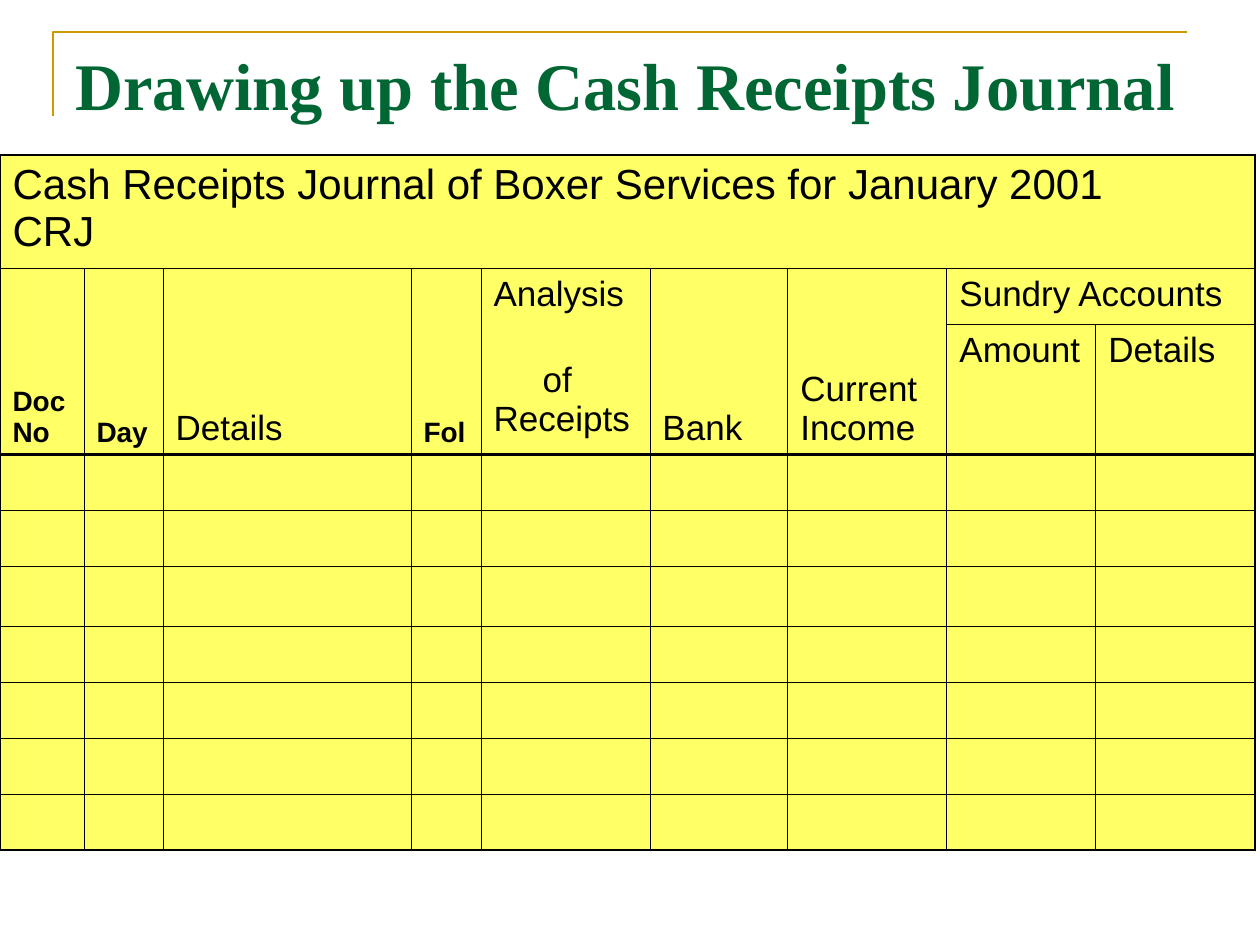
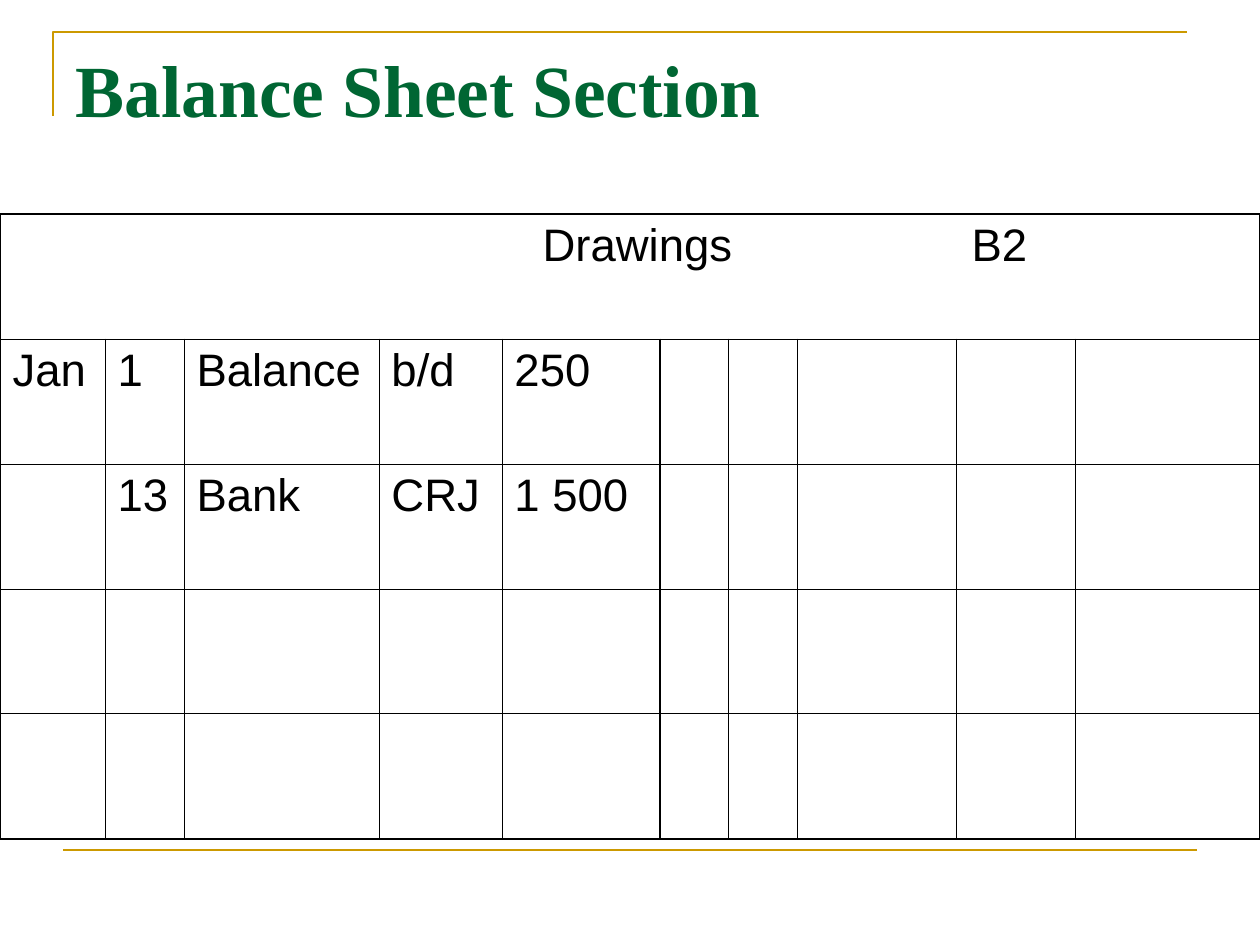
"""Build two bookkeeping slides: a cash receipts journal and a drawings account."""
import pptx
import pptx.util
import pptx.dml.color
import pptx.enum.shapes
import pptx.enum.text
from lxml import etree

GOLD = pptx.dml.color.RGBColor(0xCC, 0x99, 0x00)
GREEN = pptx.dml.color.RGBColor(0x00, 0x66, 0x33)
BLACK = pptx.dml.color.RGBColor(0x00, 0x00, 0x00)
YELLOW = pptx.dml.color.RGBColor(0xFF, 0xFF, 0x66)
WHITE = pptx.dml.color.RGBColor(0xFF, 0xFF, 0xFF)
A = "{http://schemas.openxmlformats.org/drawingml/2006/main}"
NO_STYLE = "{2D5ABB26-0587-4C30-8999-92F81FD0307C}"
TOP = pptx.enum.text.MSO_ANCHOR.TOP
BOTTOM = pptx.enum.text.MSO_ANCHOR.BOTTOM
THIN, OUTER, HEAVY = 0.45, 1.08, 1.47


def px(n):
    return pptx.util.Emu(round(n * 914400 / 126))


def write(p, text, **values):
    p.text = text
    for r in p.runs:
        r.font.color.rgb = values.get("color", BLACK)
        for name in ("name", "size", "bold"):
            setattr(r.font, name, values[name])


small = {"name": "Arial", "size": pptx.util.Pt(16), "bold": True}
medium = {"name": "Arial", "size": pptx.util.Pt(20), "bold": False}
large = {"name": "Arial", "size": pptx.util.Pt(24), "bold": False}
ledger = {"name": "Arial", "size": pptx.util.Pt(26), "bold": False}

slides = [
    {
        "title": "Drawing up the Cash Receipts Journal", "size": 38,
        "top": 155, "fill": YELLOW,
        "cols": [84, 79, 248, 70, 169, 138, 159, 149, 159],
        "rows": [106, 56, 121, 56, 56, 60, 56, 56, 56, 56],
        "merges": [(0, 0, 0, 8), (1, 7, 1, 8)] + [(1, c, 2, c) for c in range(7)],
        "heavy_row": 3, "heavy_col": None,
        "cells": [
            (0, 0, "Cash Receipts Journal of Boxer Services for January 2001\vCRJ", large, TOP),
            (1, 0, "Doc No", small, BOTTOM),
            (1, 1, "Day", small, BOTTOM),
            (1, 2, "Details", medium, BOTTOM),
            (1, 3, "Fol", small, BOTTOM),
            (1, 4, "Analysis\nof Receipts", medium, TOP),
            (1, 5, "Bank", medium, BOTTOM),
            (1, 6, "Current Income", medium, BOTTOM),
            (1, 7, "Sundry Accounts", medium, TOP),
            (2, 7, "Amount", medium, TOP),
            (2, 8, "Details", medium, TOP),
        ],
    },
    {
        "title": "Balance Sheet Section", "size": 42,
        "top": 214, "fill": WHITE,
        "cols": [105, 79, 195, 123, 158, 69, 69, 159, 119, 184],
        "rows": [125] * 5,
        "merges": [(0, 0, 0, 9)],
        "heavy_row": None, "heavy_col": 5,
        "cells": [(0, 0, "\tDrawings\tB2", ledger, TOP)] + [
            (row, col, text, ledger, TOP)
            for row, entry in enumerate(
                [["Jan", "1", "Balance", "b/d", "250"],
                 ["", "13", "Bank", "CRJ", "1 500"]], 1)
            for col, text in enumerate(entry) if text
        ],
    },
]

prs = pptx.Presentation()
prs.slide_width, prs.slide_height = px(1260), px(945)

for page in slides:
    s = prs.slides.add_slide(prs.slide_layouts[6])

    outline = s.shapes.build_freeform(px(53), px(116))
    outline.add_line_segments([(px(53), px(32)), (px(1187), px(32))], close=False)
    corner = outline.convert_to_shape()
    corner.shadow.inherit = False
    corner.fill.background()
    rule = s.shapes.add_connector(
        pptx.enum.shapes.MSO_CONNECTOR.STRAIGHT, px(63), px(850), px(1197), px(850))
    etree.SubElement(rule._element.spPr, A + "effectLst")
    for sp in (corner, rule):
        sp.line.color.rgb = GOLD
        sp.line.width = pptx.util.Pt(1.5)

    tf = s.shapes.add_textbox(px(63), px(38), px(1134), px(157)).text_frame
    tf.word_wrap = True
    write(tf.paragraphs[0], page["title"], name="Times New Roman",
          size=pptx.util.Pt(page["size"]), bold=True, color=GREEN)

    cols, rows = page["cols"], page["rows"]
    table = s.shapes.add_table(
        len(rows), len(cols), 0, px(page["top"]), px(sum(cols)), px(sum(rows))).table
    table.first_row = table.horz_banding = False
    table._tbl.tblPr[0].text = NO_STYLE
    for col, width in zip(table.columns, cols):
        col.width = px(width)
    for row, height in zip(table.rows, rows):
        row.height = px(height)
    for top, left, bottom, right in page["merges"]:
        table.cell(top, left).merge(table.cell(bottom, right))

    for row in range(len(rows)):
        for col in range(len(cols)):
            cell = table.cell(row, col)
            if cell.is_spanned:
                continue
            tcPr = cell._tc.get_or_add_tcPr()
            right = col + (cell.span_width if cell.is_merge_origin else 1)
            bottom = row + (cell.span_height if cell.is_merge_origin else 1)
            for side, edge, last, heavy in (
                    ("L", col, len(cols), page["heavy_col"]),
                    ("R", right, len(cols), page["heavy_col"]),
                    ("T", row, len(rows), page["heavy_row"]),
                    ("B", bottom, len(rows), page["heavy_row"])):
                weight = HEAVY if edge == heavy else OUTER if edge in (0, last) else THIN
                ln = etree.SubElement(tcPr, A + "ln" + side, w=str(pptx.util.Pt(weight)))
                fill = etree.SubElement(ln, A + "solidFill")
                etree.SubElement(fill, A + "srgbClr", val=str(BLACK))
            cell.fill.solid()
            cell.fill.fore_color.rgb = page["fill"]

    for row, col, text, style, anchor in page["cells"]:
        cell = table.cell(row, col)
        cell.vertical_anchor = anchor
        tf = cell.text_frame
        for i, line in enumerate(text.split("\n")):
            p = tf.add_paragraph() if i else tf.paragraphs[0]
            pPr = p._p.get_or_add_pPr()
            if i:
                pPr.set("indent", str(px(49)))
                p.space_before = pptx.util.Pt(27)
            if "\t" in line:
                stops = etree.SubElement(pPr, A + "tabLst")
                for stop in (530, 959):
                    etree.SubElement(stops, A + "tab", pos=str(px(stop)), algn="l")
            write(p, line, **style)

prs.save("out.pptx")
